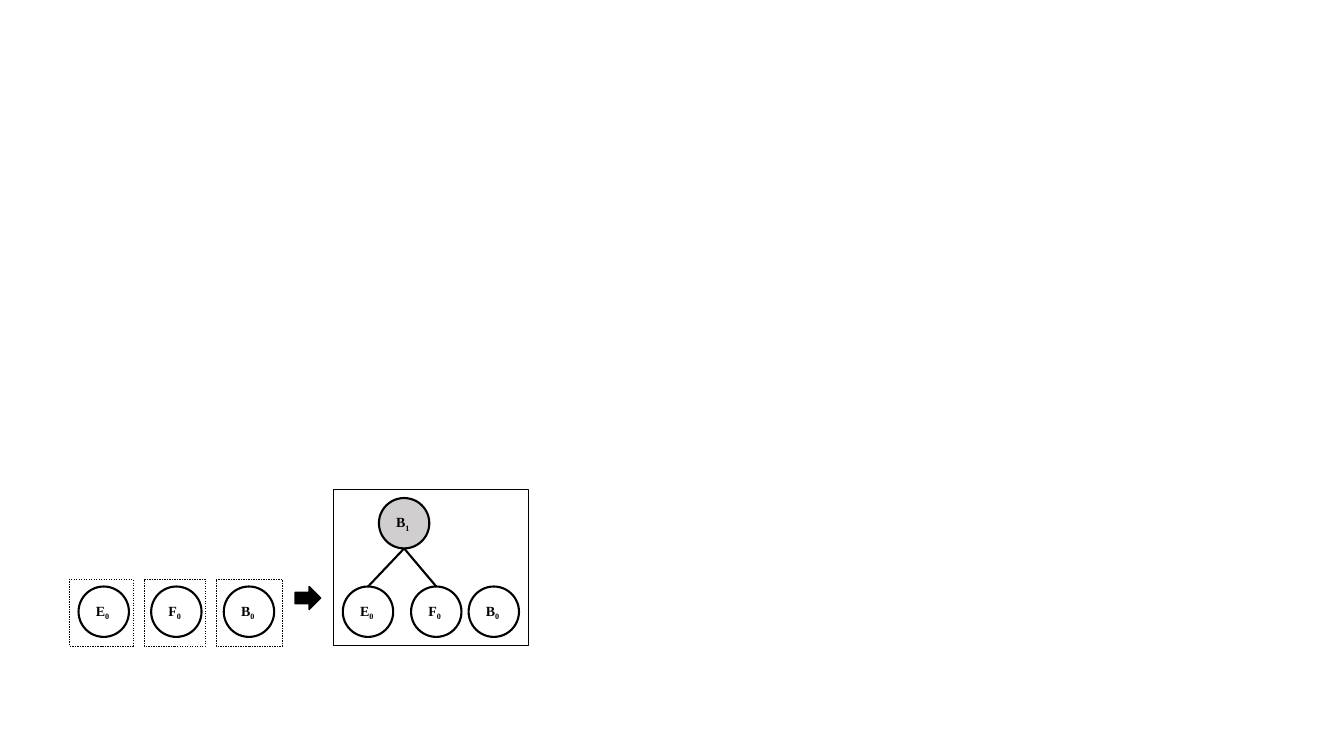
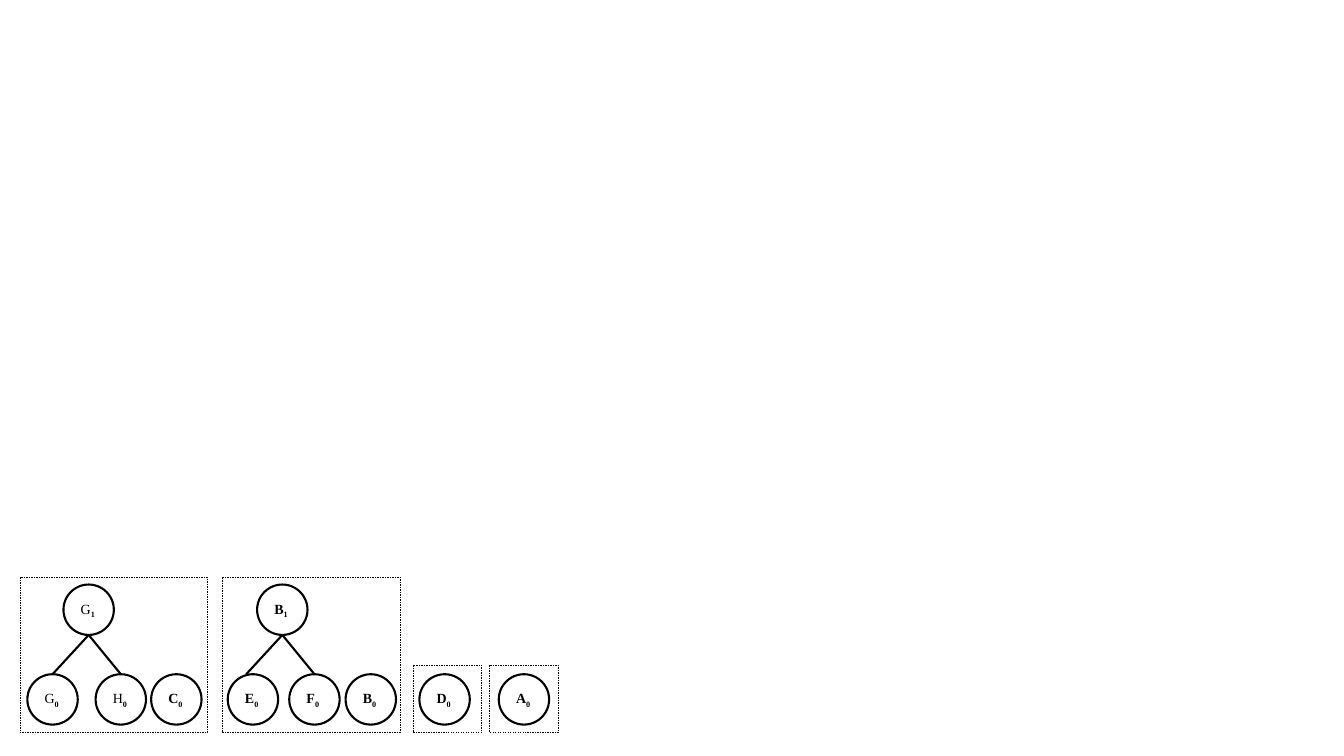
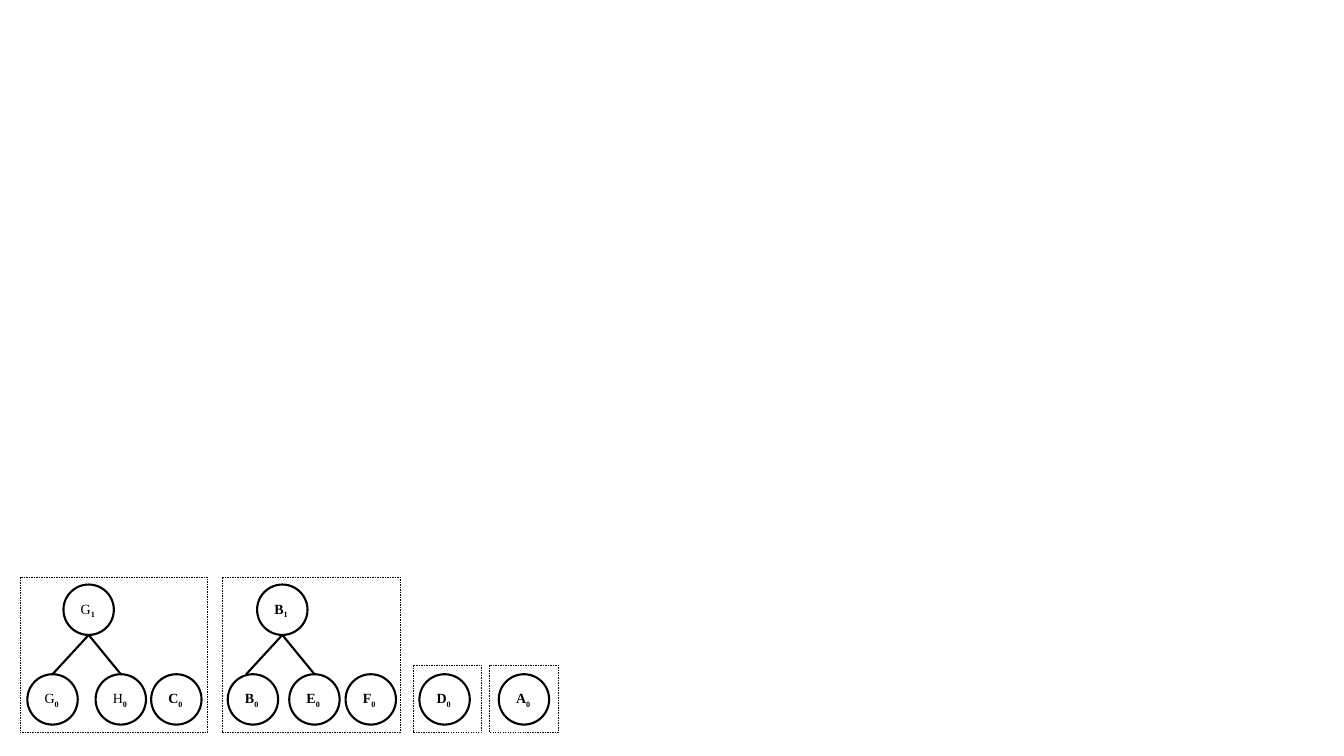
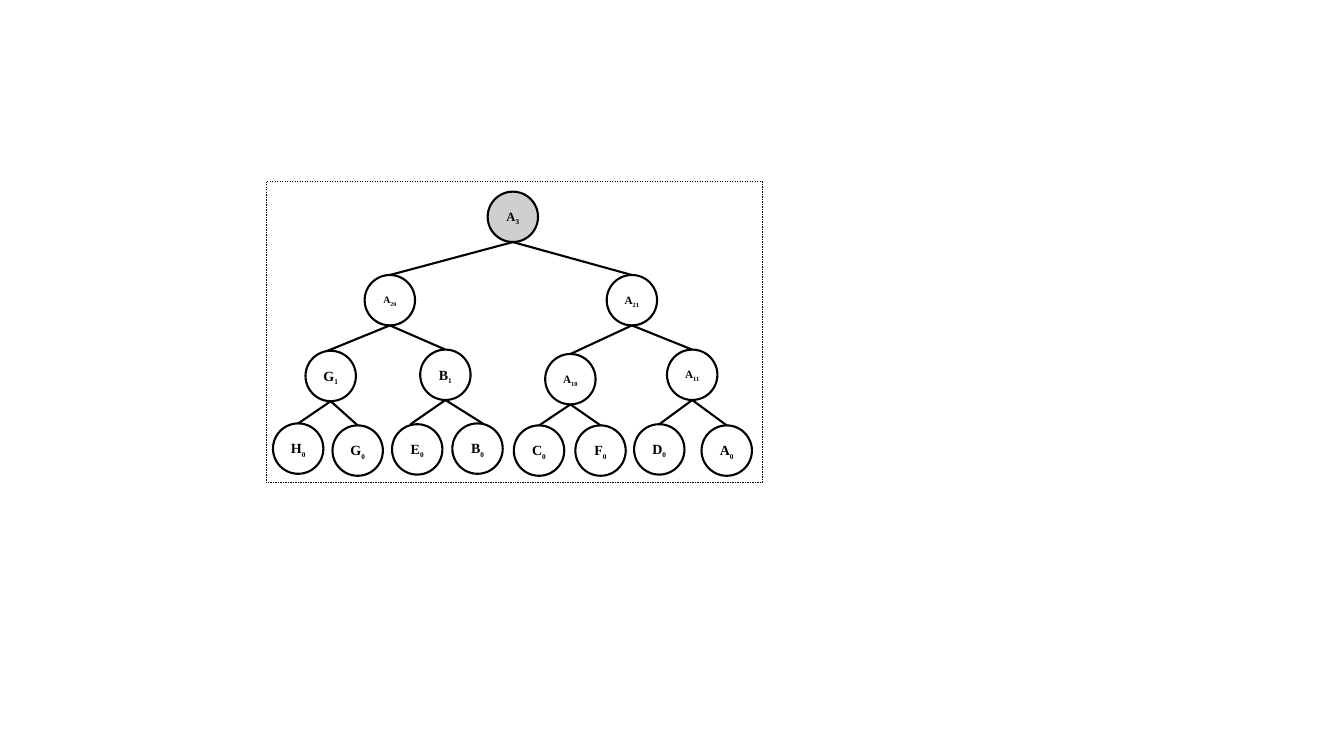
"""Draw four slides of node trees being merged level by level."""
from dataclasses import dataclass
from typing import Any

from lxml.etree import SubElement
from pptx import Presentation
from pptx.dml.color import RGBColor as Rgb
from pptx.enum.dml import MSO_LINE_DASH_STYLE as Dash
from pptx.enum.shapes import MSO_CONNECTOR as Wire, MSO_SHAPE as Form
from pptx.enum.text import MSO_ANCHOR as Anchor, PP_ALIGN as Align
from pptx.oxml.ns import qn
from pptx.util import Cm, Pt


@dataclass(frozen=True)
class Theme:
    font: str = "Times New Roman"
    ink: str = "000000"
    gray: str = "D0CECE"
    white: str = "FFFFFF"
    text: int = 10
    wire: float = 1.5
    edge: float = 1
    hair: float = 0.25
    node: float = 1.27


@dataclass(frozen=True)
class Look:
    para: dict[str, Any]
    fill: str = ""
    sub: int = 10


@dataclass(frozen=True)
class Node:
    name: str
    left: float
    top: float
    kids: tuple["Node", ...] = ()
    size: int = 10
    bold: bool = True
    fill: str = ""
    lean: float = 0


@dataclass(frozen=True)
class Frame:
    left: float
    top: float
    width: float
    height: float
    dash: bool = True


THEME = Theme()
PLAIN = Look({"alignment": Align.LEFT})
TREE = Look({"alignment": Align.CENTER, "line_spacing": 1.07, "space_after": Pt(8)},
            THEME.white, 9)


def put(item: Any, vals: dict[str, Any]) -> None:
    """Set each named attribute on the item."""
    for key, val in vals.items():
        setattr(item, key, val)


def ink(line: Any, width: float) -> None:
    """Give a line the ink colour and a width."""
    line.color.rgb = Rgb.from_string(THEME.ink)
    line.width = Pt(width)


def shape(slide: Any, form: Any, box: tuple[float, ...], fill: str, width: float) -> Any:
    """Add an outlined shape, filled when a colour is given."""
    item = slide.shapes.add_shape(form, *map(Cm, box))
    item.shadow.inherit = False
    if fill:
        item.fill.solid()
        item.fill.fore_color.rgb = Rgb.from_string(fill)
    else:
        item.fill.background()
    ink(item.line, width)
    return item


def label(item: Any, node: Node, look: Look) -> None:
    """Write a letter and its subscript inside a node."""
    frame = item.text_frame
    put(frame, {"word_wrap": True, "vertical_anchor": Anchor.MIDDLE})
    para = frame.paragraphs[0]
    put(para, look.para)
    parts = ((node.name[0], node.size, node.bold),
             (node.name[1:], min(node.size, look.sub), True))
    for text, size, bold in parts:
        run = para.add_run()
        run.text = text
        put(run.font, {"name": THEME.font, "size": Pt(size), "bold": bold})
        run.font.color.rgb = Rgb.from_string(THEME.ink)
    run.font._element.set("baseline", "-25000")


def link(slide: Any, kid: Any, root: Any, lean: float) -> None:
    """Join the top of a child to the bottom of its parent."""
    start = kid.left + kid.width // 2 + Cm(lean)
    end = root.left + root.width // 2
    wire = slide.shapes.add_connector(
        Wire.STRAIGHT, start, kid.top, end, root.top + root.height)
    if not lean:
        wire.begin_connect(kid, 0)
    ink(wire.line, THEME.wire)
    SubElement(wire._element.spPr, qn("a:effectLst"))


def grow(slide: Any, node: Node, look: Look) -> Any:
    """Draw a node with everything below it."""
    box = (node.left, node.top, THEME.node, THEME.node)
    item = shape(slide, Form.OVAL, box, node.fill or look.fill, THEME.wire)
    label(item, node, look)
    for kid in node.kids:
        link(slide, grow(slide, kid, look), item, kid.lean)
    return item


def page(deck: Any, nodes: list[Node], frames: list[Frame], look: Look = PLAIN) -> Any:
    """Add a slide with its nodes and frames."""
    slide = deck.slides.add_slide(deck.slide_layouts[6])
    for node in nodes:
        grow(slide, node, look)
    for part in frames:
        box = (part.left, part.top, part.width, part.height)
        item = shape(slide, Form.RECTANGLE, box, "", THEME.hair)
        if part.dash:
            item.line.dash_style = Dash.DASH
    return slide


def merge(deck: Any) -> None:
    """Show three single nodes turning into one group."""
    row = 14.78
    pair = (Node("E0", 8.64, row), Node("F0", 10.36, row))
    nodes = [Node("E0", 1.98, row), Node("F0", 3.81, row), Node("B0", 5.64, row),
             Node("B1", 9.55, 12.55, pair, fill=THEME.gray), Node("B0", 11.81, row)]
    frames = [Frame(left, 14.6, width, 1.68)
              for left, width in ((1.75, 1.6), (3.63, 1.55), (5.44, 1.68))]
    frames.append(Frame(8.41, 12.32, 4.9, 3.94, dash=False))
    slide = page(deck, nodes, frames)
    shape(slide, Form.RIGHT_ARROW, (7.44, row, 0.64, 0.58), THEME.ink, THEME.edge)


def groups(deck: Any, names: tuple[str, str, str]) -> None:
    """Show four groups, the second holding the given leaves."""
    row, top = 16.99, 14.73
    one, two, three = names
    light = (Node("G0", 0.69, row, bold=False), Node("H0", 2.41, row, bold=False))
    dark = (Node(one, 5.74, row, lean=-0.17), Node(two, 7.29, row))
    nodes = [Node("G1", 1.6, top, light, bold=False), Node("C0", 3.81, row),
             Node("B1", 6.48, top, dark), Node(three, 8.71, row),
             Node("D0", 10.57, row), Node("A0", 12.57, row)]
    frames = [Frame(0.51, 14.55, 4.72, 3.91), Frame(5.59, 14.55, 4.5, 3.91),
              Frame(10.41, 16.76, 1.73, 1.7), Frame(12.34, 16.76, 1.73, 1.7)]
    page(deck, nodes, frames)


def whole(deck: Any) -> None:
    """Show the complete tree."""
    g1 = Node("G1", 7.7, 8.84, (Node("H0", 6.88, 10.67), Node("G0", 8.38, 10.72)),
              lean=-0.08)
    b1 = Node("B1", 10.59, 8.81, (Node("E0", 9.88, 10.69, lean=-0.17),
                                  Node("B0", 11.4, 10.67, lean=0.13)))
    a10 = Node("A10", 13.74, 8.92, (Node("C0", 12.95, 10.72), Node("F0", 14.5, 10.72)),
               size=8)
    a11 = Node("A11", 16.81, 8.81, (Node("D0", 15.98, 10.69), Node("A0", 17.68, 10.72)),
               size=8)
    a20 = Node("A20", 9.19, 6.93, (g1, b1), size=7)
    a21 = Node("A21", 15.29, 6.93, (a10, a11), size=8)
    root = Node("A3", 12.29, 4.83, (a20, a21), size=9, fill=THEME.gray)
    page(deck, [root], [Frame(6.71, 4.57, 12.5, 7.59)], TREE)


def main() -> None:
    """Build and save the deck."""
    deck = Presentation()
    put(deck, {"slide_width": Cm(33.87), "slide_height": Cm(19.05)})
    merge(deck)
    for names in (("E0", "F0", "B0"), ("B0", "E0", "F0")):
        groups(deck, names)
    whole(deck)
    deck.save("out.pptx")


if __name__ == "__main__":
    main()
